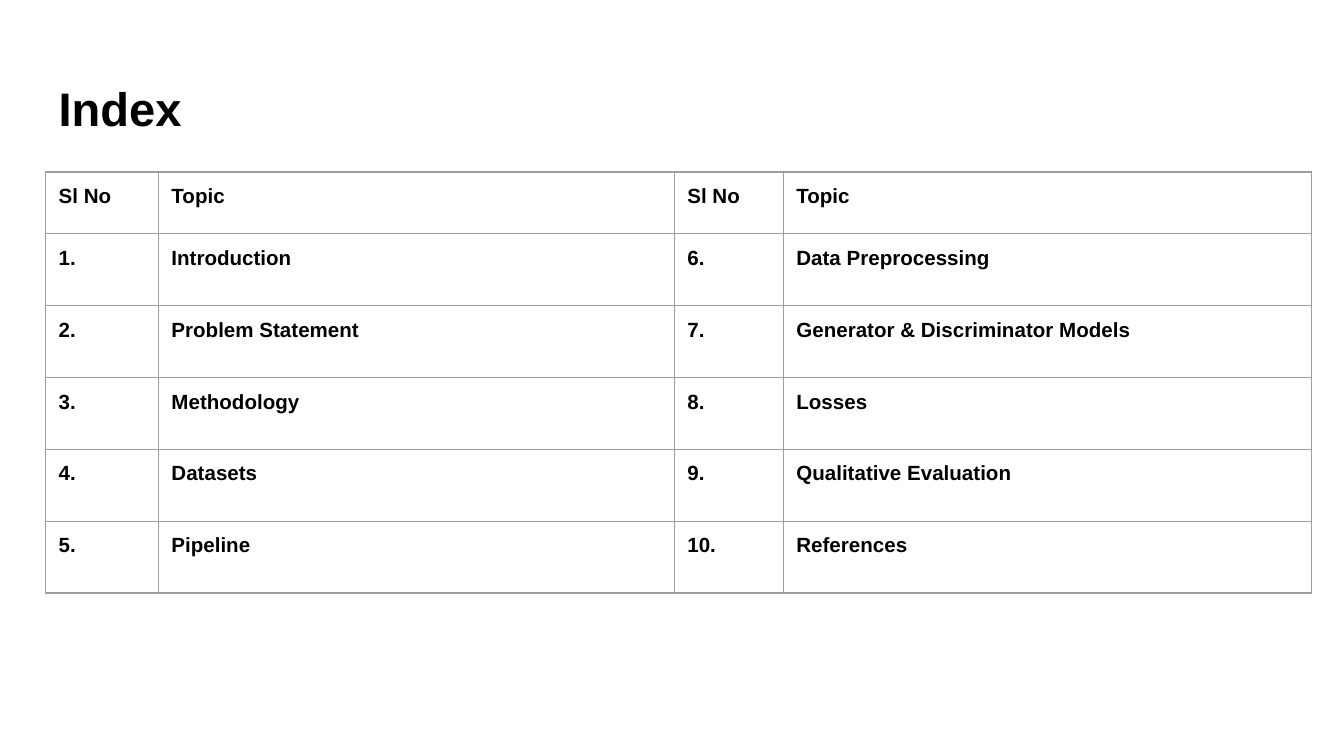
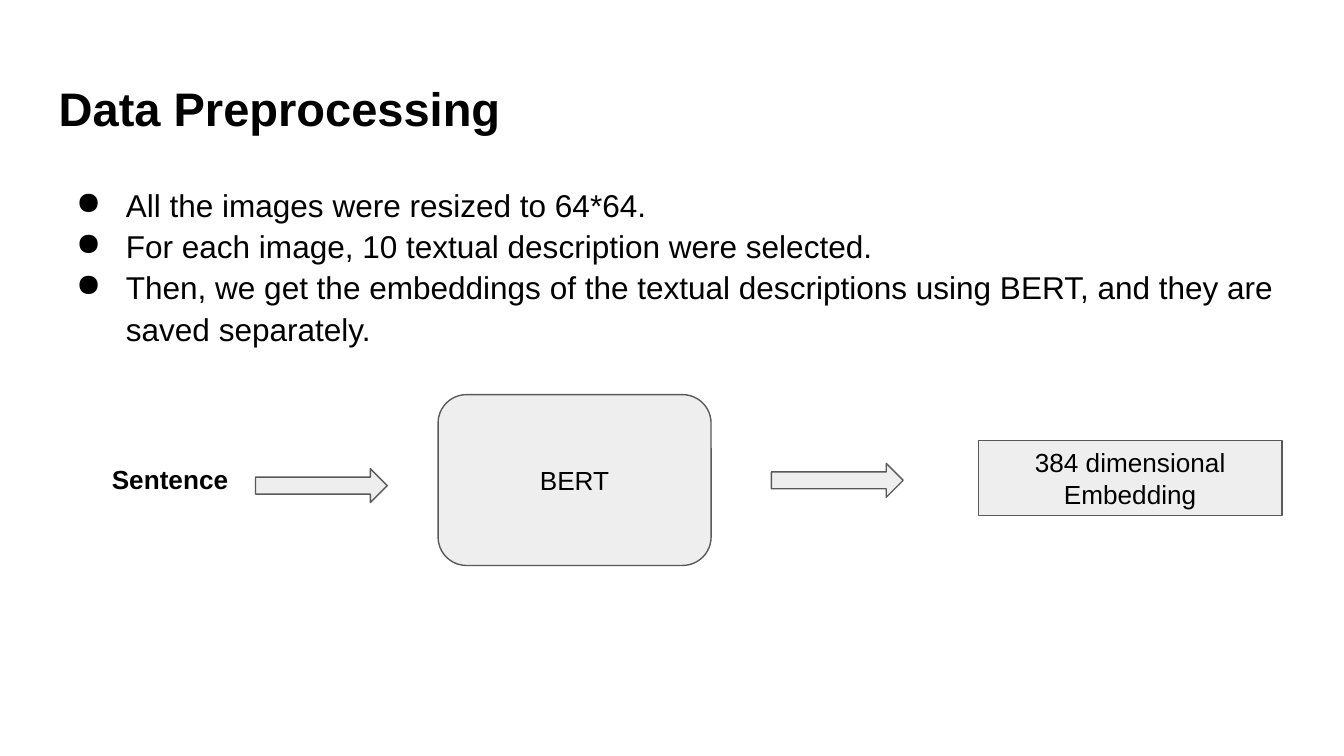
"""Builds an index slide and a data preprocessing slide."""
from lxml import etree
from pptx import Presentation
from pptx import util as u
from pptx.dml.color import RGBColor
from pptx.enum import shapes, text
from pptx.oxml import ns

BLACK = RGBColor(0x00, 0x00, 0x00)
PANEL = RGBColor(0xEE, 0xEE, 0xEE)
OUTLINE = RGBColor(0x59, 0x59, 0x59)
GRID = RGBColor(0x9E, 0x9E, 0x9E)
FONT = "Arial"
LINE_WIDTH = u.Pt(0.75)
INSET = u.Cm(0.25)
LEFT, WIDTH = 0.86, 23.67

TITLE_STYLE = {"size": u.Pt(25.2), "bold": True}
INDEX_STYLE = {"size": u.Pt(11), "bold": True}
BULLET_STYLE = {"size": u.Pt(16.9), "bold": False}
STEP_STYLE = {"size": u.Pt(14), "bold": False}
INPUT_STYLE = {"size": u.Pt(14), "bold": True}

INDEX_TITLE = "Index"
INDEX_HEADER = ("Sl No", "Topic")
TOPICS = [
    "Introduction", "Problem Statement", "Methodology", "Datasets", "Pipeline",
    "Data Preprocessing", "Generator & Discriminator Models", "Losses",
    "Qualitative Evaluation", "References",
]
INDEX_TOP = 3.25
COLUMN_WIDTHS = (2.13, 9.75, 2.06, 9.98)
HEADER_HEIGHT, TOPIC_HEIGHT = 1.16, 1.36

PREPROCESSING_TITLE = "Data Preprocessing"
PREPROCESSING_STEPS = [
    "All the images were resized to 64*64.",
    "For each image, 10 textual description were selected.",
    "Then, we get the embeddings of the textual descriptions using BERT, "
    "and they are saved separately.",
]
SENTENCE = ("Sentence", (1.6, 8.51, 3.23, 1.12))
BLOCKS = [
    ("ROUNDED_RECTANGLE", "BERT", (8.28, 7.46, 5.16, 3.23)),
    ("RECTANGLE", "384 dimensional Embedding", (18.49, 8.33, 5.74, 1.42)),
    ("RIGHT_ARROW", "", (4.83, 8.86, 2.49, 0.64)),
    ("RIGHT_ARROW", "", (14.58, 8.76, 2.49, 0.64)),
]


def apply(target, values):
    for name, value in values.items():
        setattr(target, name, value)


def write(frame, lines, style, align=text.PP_ALIGN.LEFT,
          anchor=text.MSO_ANCHOR.TOP):
    apply(frame, {"word_wrap": True, "vertical_anchor": anchor,
                  "margin_left": INSET, "margin_right": INSET,
                  "margin_top": INSET, "margin_bottom": INSET})
    for number, line in enumerate(lines):
        paragraph = frame.add_paragraph() if number else frame.paragraphs[0]
        paragraph.alignment = align
        run = paragraph.add_run()
        run.text = line
        apply(run.font, {"name": FONT, **style})
        run.font.color.rgb = BLACK


def add_text(slide, box, lines, style, **layout):
    frame = slide.shapes.add_textbox(*map(u.Cm, box)).text_frame
    write(frame, lines, style, **layout)
    return frame


def add_titled_slide(deck, title):
    slide = deck.slides.add_slide(deck.slide_layouts[6])
    add_text(slide, (LEFT, 1.24, WIDTH, 1.6), [title], TITLE_STYLE,
             anchor=text.MSO_ANCHOR.MIDDLE)
    return slide


def add_bullets(frame):
    for paragraph in frame.paragraphs:
        paragraph.line_spacing = 1.09
        properties = paragraph._p.get_or_add_pPr()
        properties.set("marL", str(u.Cm(1.27)))
        properties.set("indent", str(u.Cm(-0.94)))
        bullet = etree.SubElement(properties, ns.qn("a:buChar"))
        bullet.set("char", "●")


def add_borders(cell):
    properties = cell._tc.get_or_add_tcPr()
    for side in ("a:lnL", "a:lnR", "a:lnT", "a:lnB"):
        border = etree.SubElement(properties, ns.qn(side), w=str(LINE_WIDTH))
        fill = etree.SubElement(border, ns.qn("a:solidFill"))
        etree.SubElement(fill, ns.qn("a:srgbClr"), val=str(GRID))


def add_index(slide):
    numbered = [(f"{number}.", topic) for number, topic in enumerate(TOPICS, 1)]
    half = len(numbered) // 2
    rows = [INDEX_HEADER * 2]
    rows += [first + second for first, second in zip(numbered[:half], numbered[half:])]
    heights = [HEADER_HEIGHT] + [TOPIC_HEIGHT] * half
    box = (LEFT, INDEX_TOP, sum(COLUMN_WIDTHS), sum(heights))
    index = slide.shapes.add_table(len(rows), len(COLUMN_WIDTHS), *map(u.Cm, box)).table
    apply(index, {"first_row": False, "horz_banding": False})
    for column, width in zip(index.columns, COLUMN_WIDTHS):
        column.width = u.Cm(width)
    for row, height, entries in zip(index.rows, heights, rows):
        row.height = u.Cm(height)
        for cell, entry in zip(row.cells, entries):
            apply(cell, {"margin_left": INSET, "margin_right": INSET,
                         "margin_top": INSET, "margin_bottom": INSET})
            add_borders(cell)
            cell.fill.background()
            run = cell.text_frame.paragraphs[0].add_run()
            run.text = entry
            apply(run.font, {"name": FONT, **INDEX_STYLE})
            run.font.color.rgb = BLACK


def add_block(slide, kind, label, box):
    block = slide.shapes.add_shape(shapes.MSO_SHAPE[kind], *map(u.Cm, box))
    block.shadow.inherit = False
    block.fill.solid()
    block.fill.fore_color.rgb = PANEL
    block.line.color.rgb = OUTLINE
    block.line.width = LINE_WIDTH
    if label:
        write(block.text_frame, [label], STEP_STYLE, text.PP_ALIGN.CENTER,
              text.MSO_ANCHOR.MIDDLE)


def main():
    deck = Presentation()
    apply(deck, {"slide_width": u.Cm(25.4), "slide_height": u.Cm(14.29)})

    add_index(add_titled_slide(deck, INDEX_TITLE))

    preprocessing = add_titled_slide(deck, PREPROCESSING_TITLE)
    add_bullets(add_text(preprocessing, (LEFT, 3.2, WIDTH, 2.69),
                         PREPROCESSING_STEPS, BULLET_STYLE))
    sentence, sentence_box = SENTENCE
    add_text(preprocessing, sentence_box, [sentence], INPUT_STYLE,
             align=text.PP_ALIGN.CENTER)
    for block in BLOCKS:
        add_block(preprocessing, *block)

    deck.save("out.pptx")


if __name__ == "__main__":
    main()
